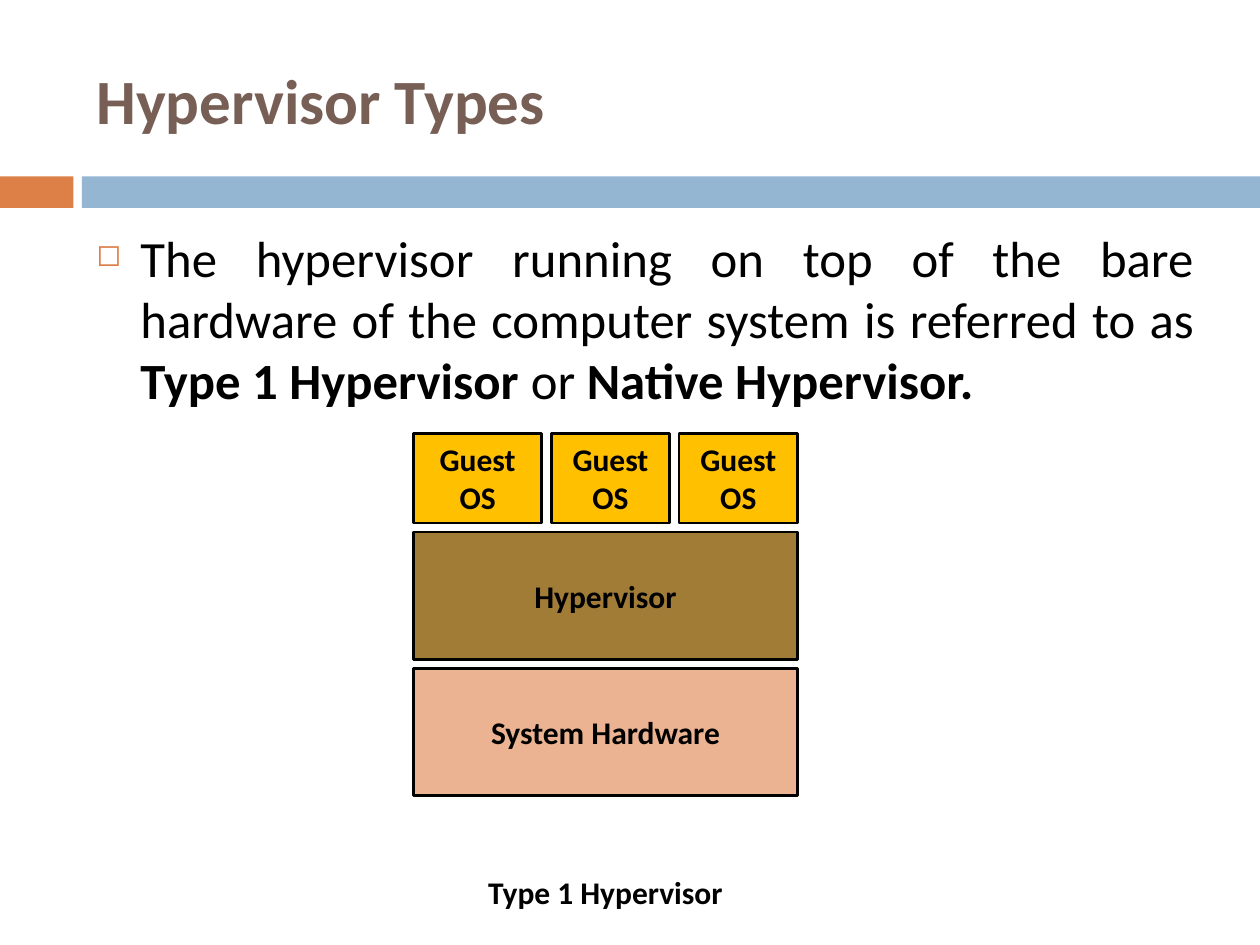
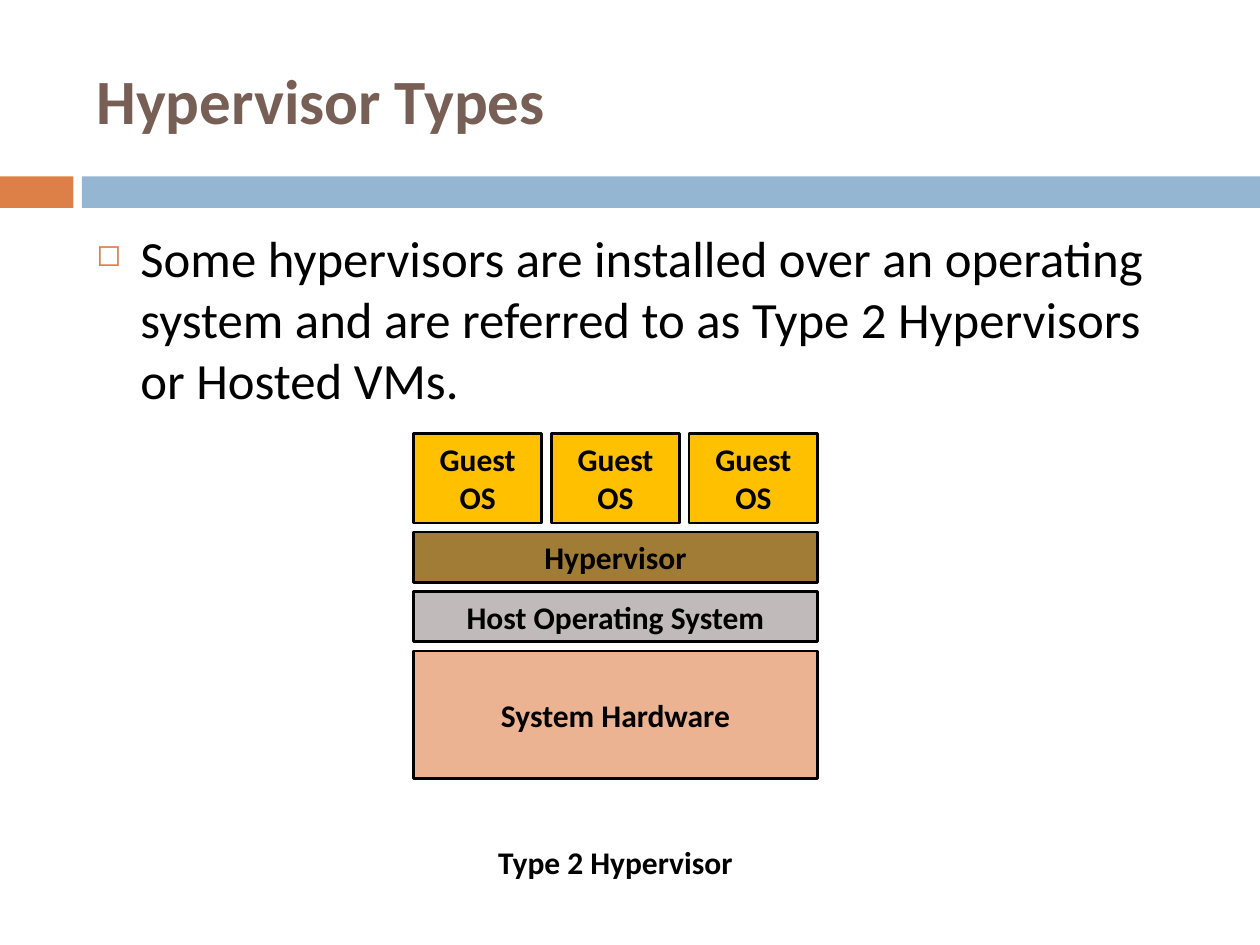
from pptx import Presentation
from pptx.dml.color import RGBColor as RGB
from pptx.enum.shapes import MSO_SHAPE as SHAPE
from pptx.enum.text import MSO_ANCHOR as ANCHOR, PP_ALIGN as ALIGN
from pptx.oxml.ns import qn
from pptx.util import Pt
from lxml.etree import SubElement

COLORS = {
    "title": "775F55", "text": "000000", "accent": "DD8047", "band": "94B6D2",
    "guest": "FFC000", "hypervisor": "A17C36", "host": "C0BABA",
    "hardware": "EBB391",
}

# Shared text formats
TITLE = {"size": Pt(36), "bold": True}
BODY = {"size": Pt(29), "bold": False}
STRONG = {"size": Pt(29), "bold": True}
LABEL = {"size": Pt(18), "bold": True}

# Diagram grid, in points
LEFT, TOP = 236.2, 247.7
COL_GAP, ROW_GAP = 5.4, 5.2
GUEST_H, LAYER_H, THIN_H = 51.1, 72.8, 28.8
WIDE, NARROW = 73.4, 67.7


def color(name):
    return RGB.from_string(COLORS[name])


def add_run(p, text, fmt, color_name="text"):
    r = p.add_run()
    r.text = text
    r.font.name = "Calibri"
    r.font.color.rgb = color(color_name)
    for key, value in fmt.items():
        setattr(r.font, key, value)


def add_text(s, box, align=ALIGN.LEFT, anchor=ANCHOR.TOP):
    """Add a wrapping text box and return its first paragraph."""
    tf = s.shapes.add_textbox(*map(Pt, box)).text_frame
    tf.word_wrap = True
    tf.vertical_anchor = anchor
    p = tf.paragraphs[0]
    p.alignment = align
    return p


def add_rect(s, box, fill):
    sp = s.shapes.add_shape(SHAPE.RECTANGLE, *map(Pt, box))
    sp.shadow.inherit = False
    sp.fill.solid()
    sp.fill.fore_color.rgb = color(fill)
    sp.line.fill.background()
    return sp


def add_block(s, box, text, fill):
    """Add an outlined diagram block with a centred label."""
    sp = add_rect(s, box, fill)
    sp.line.color.rgb = color("text")
    sp.line.width = Pt(1.5)
    tf = sp.text_frame
    tf.word_wrap = True
    tf.vertical_anchor = ANCHOR.MIDDLE
    p = tf.paragraphs[0]
    p.alignment = ALIGN.CENTER
    add_run(p, text, LABEL)


def set_bullet(p):
    """Give the paragraph a small square bullet and a hanging indent."""
    p.space_before = Pt(7)
    pPr = p._p.get_or_add_pPr()
    pPr.set("marL", str(Pt(25.2)))
    pPr.set("indent", str(-Pt(25.2)))
    clr = SubElement(pPr, qn("a:buClr"))
    SubElement(clr, qn("a:srgbClr"), val=COLORS["accent"])
    SubElement(pPr, qn("a:buSzPct"), val="60000")
    SubElement(pPr, qn("a:buChar"), char="◻")


def add_base(prs, title):
    """Add a slide with the title and the two bands."""
    s = prs.slides.add_slide(prs.slide_layouts[6])
    add_rect(s, (0, 100.8, 42, 18), "accent")
    add_rect(s, (46.8, 100.8, 673.2, 18), "band")
    p = add_text(s, (48, 18, 642, 78), anchor=ANCHOR.MIDDLE)
    add_run(p, title, TITLE, "title")
    return s


def add_body(s, runs, align):
    p = add_text(s, (48, 126, 642, 354), align)
    set_bullet(p)
    for text, fmt in runs:
        add_run(p, text, fmt)


def add_stack(s, guest_widths, layers):
    """Draw the guest row, then full-width layers below it."""
    x = LEFT
    for w in guest_widths:
        add_block(s, (x, TOP, w, GUEST_H), "Guest OS", "guest")
        x += w + COL_GAP
    width = x - COL_GAP - LEFT
    y = TOP + GUEST_H + ROW_GAP
    for text, fill, h in layers:
        add_block(s, (LEFT, y, width, h), text, fill)
        y += h + ROW_GAP
    return LEFT + width / 2


def add_caption(s, center, top, text):
    w = 219.6
    p = add_text(s, (center - w / 2, top, w, THIN_H), ALIGN.CENTER)
    add_run(p, text, LABEL)


def main():
    prs = Presentation()
    prs.slide_width, prs.slide_height = Pt(720), Pt(540)
    hardware = ("System Hardware", "hardware", LAYER_H)

    # Type 1: hypervisor on bare hardware
    s = add_base(prs, "Hypervisor Types")
    add_body(s, [
        ("The hypervisor running on top of the bare hardware of the "
         "computer system is referred to as ", BODY),
        ("Type 1 Hypervisor ", STRONG),
        ("or ", BODY),
        ("Native Hypervisor.", STRONG),
    ], ALIGN.JUSTIFY)
    center = add_stack(s, (WIDE, NARROW, NARROW), [
        ("Hypervisor", "hypervisor", LAYER_H), hardware])
    add_caption(s, center, 495.4, "Type 1 Hypervisor")

    # Type 2: hypervisor on a host operating system
    s = add_base(prs, "Hypervisor Types")
    add_body(s, [
        ("Some hypervisors are installed over an operating system and are "
         "referred to as Type 2 Hypervisors or Hosted VMs.", BODY),
    ], ALIGN.LEFT)
    center = add_stack(s, (WIDE,) * 3, [
        ("Hypervisor", "hypervisor", THIN_H),
        ("Host Operating System", "host", THIN_H), hardware])
    add_caption(s, center, 478.1, "Type 2 Hypervisor")

    prs.save("out.pptx")


if __name__ == "__main__":
    main()
